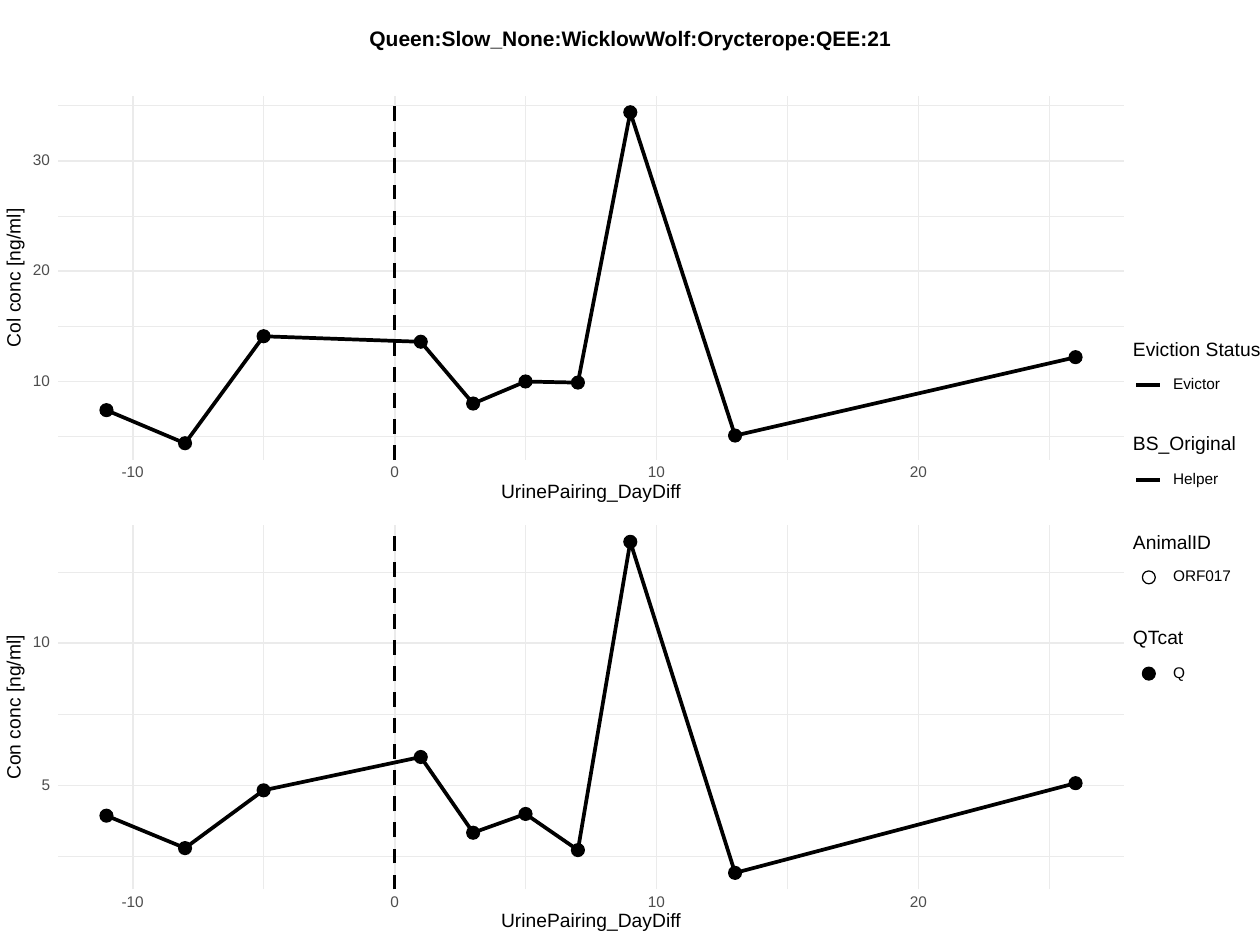
from lxml import etree
from pptx import Presentation
from pptx.dml.color import RGBColor
from pptx.enum.dml import MSO_LINE
from pptx.enum.shapes import MSO_CONNECTOR, MSO_SHAPE
from pptx.enum.text import MSO_ANCHOR, PP_ALIGN
from pptx.oxml.ns import qn
from pptx.util import Cm, Pt

DASH = MSO_LINE.DASH
STRAIGHT = MSO_CONNECTOR.STRAIGHT
OVAL = MSO_SHAPE.OVAL
MIDDLE = MSO_ANCHOR.MIDDLE
LEFT, CENTER, RIGHT = PP_ALIGN.LEFT, PP_ALIGN.CENTER, PP_ALIGN.RIGHT

TITLE_ONLY = 5
FONT = "Arial"
BLACK, GRAY, GRID = "000000", "4D4D4D", "EBEBEB"
TEXT_SIZE, LABEL_SIZE = 11, 8.8
THICK, MAJOR, MINOR, OUTLINE = 2.13, 1.07, 0.53, 0.71

# Panel geometry in cm
PANEL_LEFT, PANEL_WIDTH, PANEL_HEIGHT = 1.17, 21.49, 7.34
DOT_SIZE = 0.26
TEXT_HEIGHT = 0.3

DAYS = [-11, -8, -5, 1, 3, 5, 7, 9, 13, 26]
DAY_RANGE = (-12.85, 27.85)
DAY_MAJOR, DAY_MINOR = [-10, 0, 10, 20], [-5, 5, 15, 25]


def color(hex_string):
    return RGBColor.from_string(hex_string)


def fraction(value, limits):
    low, high = limits
    return (value - low) / (high - low)


class SlideBuilder:
    def __init__(self, presentation):
        self.slide = presentation.slides.add_slide(presentation.slide_layouts[TITLE_ONLY])

    def style_line(self, line, width, hex_string=BLACK):
        line.color.rgb = color(hex_string)
        line.width = Pt(width)

    def fill_text(self, shape, text, size, hex_string=BLACK, bold=False, alignment=LEFT):
        frame = shape.text_frame
        frame.margin_left = frame.margin_right = frame.margin_top = frame.margin_bottom = 0
        frame.word_wrap = False
        frame.vertical_anchor = MIDDLE
        paragraph = frame.paragraphs[0]
        paragraph.alignment = alignment
        paragraph.line_spacing = Pt(size)
        run = paragraph.add_run()
        run.text = text
        run.font.name = FONT
        run.font.size = Pt(size)
        run.font.bold = bold
        run.font.color.rgb = color(hex_string)

    def title(self, text, left, top, width, height):
        shape = self.slide.shapes.title
        shape.left, shape.top, shape.width, shape.height = map(Cm, (left, top, width, height))
        self.fill_text(shape, text, 12, bold=True, alignment=CENTER)

    def text(self, text, x, middle, width, size, hex_string=BLACK, alignment=LEFT, rotation=0):
        """Add one line of text whose left edge, center or right edge is at x."""
        shift = {LEFT: 0, CENTER: width / 2, RIGHT: width}[alignment]
        box = self.slide.shapes.add_textbox(
            Cm(x - shift), Cm(middle - TEXT_HEIGHT / 2), Cm(width), Cm(TEXT_HEIGHT))
        box.rotation = rotation
        self.fill_text(box, text, size, hex_string, alignment=alignment)

    def tick_label(self, value, x, middle, alignment):
        text = str(value)
        self.text(text, x, middle, 0.2 * len(text), LABEL_SIZE, GRAY, alignment)

    def line(self, x1, y1, x2, y2, width, hex_string=BLACK, dash=None):
        connector = self.slide.shapes.add_connector(STRAIGHT, Cm(x1), Cm(y1), Cm(x2), Cm(y2))
        self.style_line(connector.line, width, hex_string)
        if dash is not None:
            connector.line.dash_style = dash
        etree.SubElement(connector._element.find(qn("p:spPr")), qn("a:effectLst"))

    def polyline(self, points):
        start, *others = [(Cm(x), Cm(y)) for x, y in points]
        builder = self.slide.shapes.build_freeform(*start)
        builder.add_line_segments(others, close=False)
        shape = builder.convert_to_shape()
        shape.shadow.inherit = False
        shape.fill.background()
        self.style_line(shape.line, THICK)

    def dot(self, center, middle, filled=True):
        dot = self.slide.shapes.add_shape(
            OVAL, Cm(center - DOT_SIZE / 2), Cm(middle - DOT_SIZE / 2), Cm(DOT_SIZE), Cm(DOT_SIZE))
        dot.shadow.inherit = False
        self.style_line(dot.line, OUTLINE)
        if filled:
            dot.fill.solid()
            dot.fill.fore_color.rgb = color(BLACK)
        else:
            dot.fill.background()

    def panel(self, top, name, name_width, values, limits, major, minor):
        right, bottom = PANEL_LEFT + PANEL_WIDTH, top + PANEL_HEIGHT

        def day_x(day):
            return PANEL_LEFT + PANEL_WIDTH * fraction(day, DAY_RANGE)

        def value_y(value):
            return bottom - PANEL_HEIGHT * fraction(value, limits)

        # Gridlines, minor below major
        for rows, columns, width in ((minor, DAY_MINOR, MINOR), (major, DAY_MAJOR, MAJOR)):
            for value in rows:
                self.line(PANEL_LEFT, value_y(value), right, value_y(value), width, GRID)
            for day in columns:
                self.line(day_x(day), bottom, day_x(day), top, width, GRID)

        # Measurements and the pairing day
        points = [(day_x(day), value_y(value)) for day, value in zip(DAYS, values)]
        self.polyline(points)
        for point in points:
            self.dot(*point)
        self.line(day_x(0), bottom, day_x(0), top, THICK, dash=DASH)

        # Tick labels and axis titles
        for value in major:
            self.tick_label(value, 1.01, value_y(value), RIGHT)
        for day in DAY_MAJOR:
            self.tick_label(day, day_x(day), bottom + 0.27, CENTER)
        self.text("UrinePairing_DayDiff", PANEL_LEFT + PANEL_WIDTH / 2, bottom + 0.66, 3.8,
                  TEXT_SIZE, alignment=CENTER)
        self.text(name, 0.3, top + PANEL_HEIGHT / 2, name_width,
                  TEXT_SIZE, alignment=CENTER, rotation=270)


def main():
    presentation = Presentation()
    presentation.slide_width, presentation.slide_height = Cm(25.4), Cm(19.05)
    builder = SlideBuilder(presentation)
    builder.title("Queen:Slow_None:WicklowWolf:Orycterope:QEE:21", 7.44, 0.61, 10.54, 0.41)

    # Concentration panels
    builder.panel(1.93, "Col conc [ng/ml]", 2.95,
                  [7.4, 4.4, 14.1, 13.6, 8, 10, 9.9, 34.4, 5.1, 12.2],
                  (2.9, 35.9), [10, 20, 30], [5, 15, 25, 35])
    builder.panel(10.59, "Con conc [ng/ml]", 3.05,
                  [3.94, 2.8, 4.83, 6, 3.34, 4, 2.73, 13.56, 1.93, 5.08],
                  (1.35, 14.14), [5, 10], [2.5, 7.5, 12.5])

    # Legend: heading, its middle and width, label, its middle and width, key
    legend = [
        ("Eviction Status", 7.07, 2.7, "Evictor", 7.76, 1.05, "line"),
        ("BS_Original", 8.97, 2.2, "Helper", 9.68, 1, "line"),
        ("AnimalID", 10.96, 1.7, "ORF017", 11.64, 1.25, "ring"),
        ("QTcat", 12.88, 1.2, "Q", 13.58, 0.3, "dot"),
    ]
    for heading, heading_middle, heading_width, label, middle, label_width, key in legend:
        builder.text(heading, 22.84, heading_middle, heading_width, TEXT_SIZE)
        builder.text(label, 23.65, middle, label_width, LABEL_SIZE)
        if key == "line":
            builder.line(22.91, middle, 23.39, middle, THICK)
        else:
            builder.dot(23.16, middle, filled=key == "dot")

    presentation.save("out.pptx")


if __name__ == "__main__":
    main()
